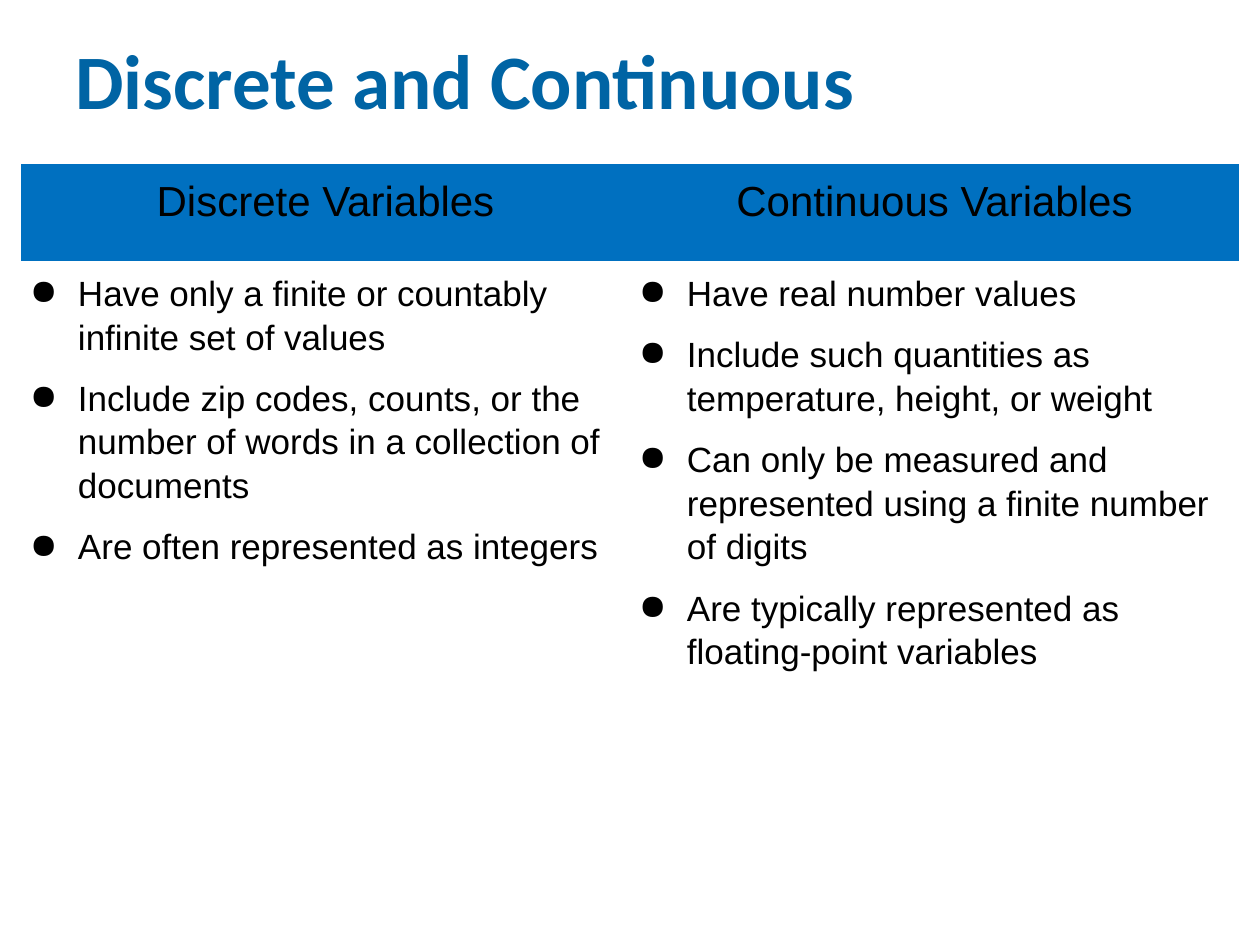
"""Build a slide comparing discrete and continuous variables in a table."""
from lxml.etree import SubElement, fromstring
from pptx import Presentation
from pptx.dml.color import RGBColor
from pptx.enum.text import MSO_ANCHOR, PP_ALIGN
from pptx.oxml.ns import qn
from pptx.util import Pt

PX = 914400 // 126
NAMESPACE = "http://schemas.openxmlformats.org/drawingml/2006/main"
COLUMNS = [
    ("Discrete Variables", [
        "Have only a finite or countably infinite set of values",
        "Include zip codes, counts, or the number of words in a collection of documents",
        "Are often represented as integers",
    ]),
    ("Continuous Variables", [
        "Have real number values",
        "Include such quantities as temperature, height, or weight",
        "Can only be measured and represented using a finite number of digits",
        "Are typically represented as floating-point variables",
    ]),
]


def color(value):
    return RGBColor.from_string(value)


def style_font(paragraph, name, size, value):
    paragraph.font.name = name
    paragraph.font.size = Pt(size)
    paragraph.font.color.rgb = color(value)


presentation = Presentation()
presentation.slide_width = 1260 * PX
presentation.slide_height = 945 * PX
slide = presentation.slides.add_slide(presentation.slide_layouts[6])

title = slide.shapes.add_textbox(63 * PX, 24 * PX, 1171 * PX, 122 * PX)
title.text_frame.word_wrap = True
title.text_frame.vertical_anchor = MSO_ANCHOR.MIDDLE
paragraph = title.text_frame.paragraphs[0]
paragraph.text = "Discrete and Continuous"
paragraph.line_spacing = 0.9
style_font(paragraph, "Calibri", 44, "0064A4")
paragraph.font.bold = True

table = slide.shapes.add_table(2, 2, 21 * PX, 164 * PX, 1218 * PX, 674 * PX).table
table.horz_banding = False
table.first_row = False
table.rows[0].height = 97 * PX
table.rows[1].height = 577 * PX

for column, (heading, points) in enumerate(COLUMNS):
    for row, lines in enumerate([[heading], points]):
        cell = table.cell(row, column)
        cell.margin_left = cell.margin_right = 9 * PX
        cell.margin_top = cell.margin_bottom = 9 * PX
        properties = cell._tc.get_or_add_tcPr()
        for position, side in enumerate(["lnL", "lnR", "lnT", "lnB"]):
            properties.insert(position, fromstring(
                f'<a:{side} xmlns:a="{NAMESPACE}" w="9525"><a:solidFill>'
                f'<a:srgbClr val="FFFFFF"><a:alpha val="0"/></a:srgbClr>'
                f'</a:solidFill></a:{side}>'))
        if row == 0:
            cell.fill.solid()
            cell.fill.fore_color.rgb = color("0070C0")
        else:
            cell.fill.background()
        cell.text = "\n".join(lines)
        for paragraph in cell.text_frame.paragraphs:
            if row == 0:
                paragraph.alignment = PP_ALIGN.CENTER
            else:
                bullet = paragraph._p.get_or_add_pPr()
                bullet.set("marL", str(48 * PX))
                bullet.set("indent", str(-48 * PX))
                bullet_color = SubElement(bullet, qn("a:buClr"))
                SubElement(bullet_color, qn("a:srgbClr"), val="000000")
                SubElement(bullet, qn("a:buChar"), char="●")
            paragraph.line_spacing = 1.12
            paragraph.space_after = Pt(10)
            style_font(paragraph, "Arial", 20 if row else 24, "000000")

presentation.save("out.pptx")
